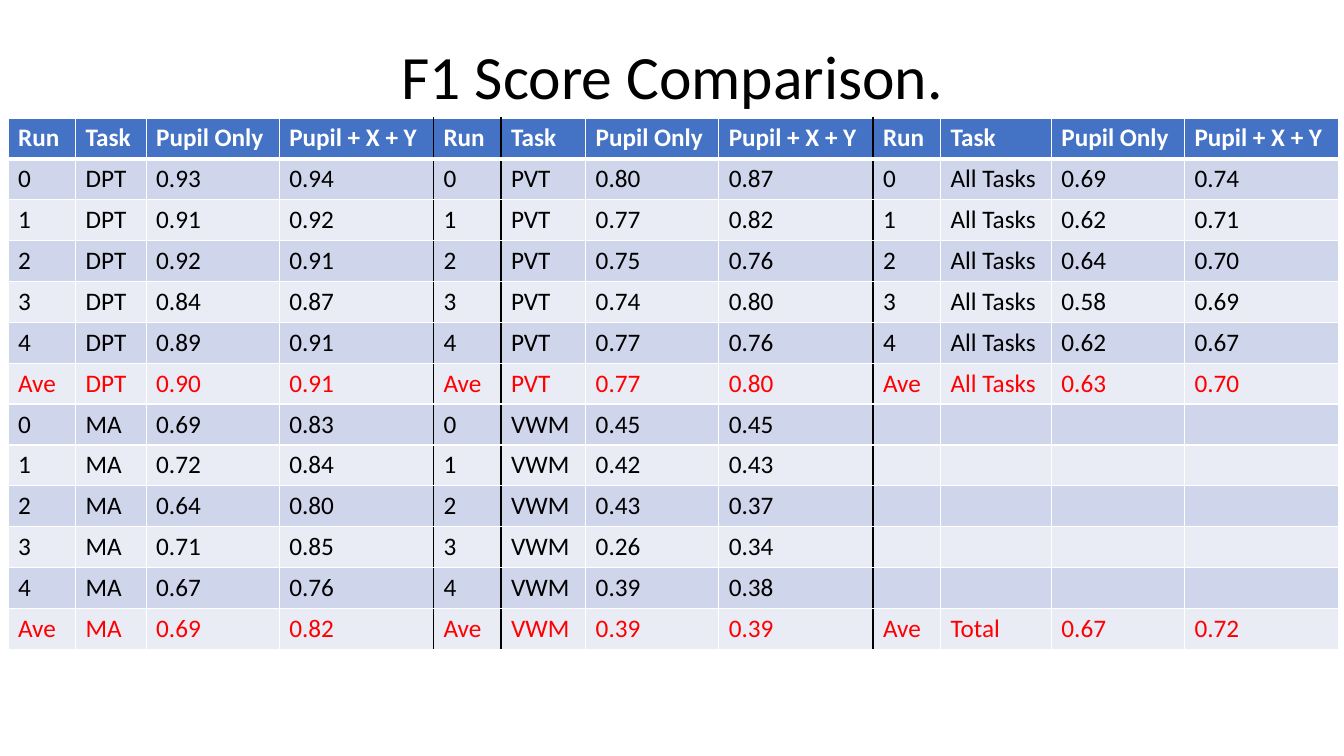
import pptx
import pptx.util
import pptx.dml.color
import pptx.enum.text
import pptx.oxml.ns
import lxml.etree

# Content
TITLE = "F1 Score Comparison."
HEADER = ["Run", "Task", "Pupil Only", "Pupil + X + Y"]
RUNS = ["0", "1", "2", "3", "4", "Ave"]
# Each panel stacks its tasks: (task, pupil-only scores, pupil + x + y scores)
PANELS = [
    [("DPT", "0.93 0.91 0.92 0.84 0.89 0.90", "0.94 0.92 0.91 0.87 0.91 0.91"),
     ("MA", "0.69 0.72 0.64 0.71 0.67 0.69", "0.83 0.84 0.80 0.85 0.76 0.82")],
    [("PVT", "0.80 0.77 0.75 0.74 0.77 0.77", "0.87 0.82 0.76 0.80 0.76 0.80"),
     ("VWM", "0.45 0.42 0.43 0.26 0.39 0.39", "0.45 0.43 0.37 0.34 0.38 0.39")],
    [("All Tasks", "0.69 0.62 0.64 0.58 0.62 0.63", "0.74 0.71 0.70 0.69 0.67 0.70")],
]
TOTAL = ["Ave", "Total", "0.67", "0.72"]

# Style and grid
COLORS = {"header": "4472C4", "odd": "CFD5EA", "even": "E9EBF5",
          "white": "FFFFFF", "black": "000000", "average": "FF0000"}
FONT = "Calibri"
TASK_WIDTHS = [0.7, 0.84, 1.1]
COL_WIDTHS = [w for task in TASK_WIDTHS for w in (0.67, task, 1.32, 1.53)]
ROW_HEIGHT = 5.27 / 13
LEFT, TOP = 0.08, 1.17
DIVIDERS = {4, 5, 8}  # column edges drawn in black
inch = pptx.util.Inches


def rgb(name):
    return pptx.dml.color.RGBColor.from_string(COLORS[name])


def style_run(r, size, color, bold=False):
    r.font.name, r.font.size, r.font.bold = FONT, pptx.util.Pt(size), bold
    r.font.color.rgb = rgb(color)


def add_border(cell, side, color, width):
    qn = pptx.oxml.ns.qn
    ln = lxml.etree.SubElement(cell._tc.get_or_add_tcPr(), qn("a:ln" + side),
                               w=str(pptx.util.Pt(width)))
    fill = lxml.etree.SubElement(ln, qn("a:solidFill"))
    lxml.etree.SubElement(fill, qn("a:srgbClr"), val=COLORS[color])


def panel_rows(panel):
    rows = [HEADER]
    for task, pupil, pupil_xy in panel:
        rows += [[run, task, a, b] for run, a, b in zip(RUNS, pupil.split(), pupil_xy.split())]
    if len(panel) == 1:
        rows += [[""] * 4] * 5 + [TOTAL]
    return rows


rows = [sum(parts, []) for parts in zip(*map(panel_rows, PANELS))]

prs = pptx.Presentation()
prs.slide_width, prs.slide_height = inch(13.33), inch(7.5)
s = prs.slides.add_slide(prs.slide_layouts[5])

# Title
title = s.shapes.title
title.left, title.top, title.width, title.height = map(inch, (0.92, 0.4, 11.5, 0.77))
tf = title.text_frame
tf.text = TITLE
tf.auto_size = pptx.enum.text.MSO_AUTO_SIZE.NONE
tf.vertical_anchor = pptx.enum.text.MSO_ANCHOR.MIDDLE
p = tf.paragraphs[0]
p.alignment = pptx.enum.text.PP_ALIGN.CENTER
p.line_spacing = 0.9
style_run(p.runs[0], 44, "black")

# Score table
table = s.shapes.add_table(len(rows), len(COL_WIDTHS), inch(LEFT), inch(TOP),
                           inch(sum(COL_WIDTHS)), inch(ROW_HEIGHT * len(rows))).table
for column, width in zip(table.columns, COL_WIDTHS):
    column.width = inch(width)

for i, row in enumerate(rows):
    table.rows[i].height = inch(ROW_HEIGHT)
    band = "header" if i == 0 else "odd" if i % 2 else "even"
    ink = "white" if i == 0 else "average" if row[0] == "Ave" else "black"
    for j, value in enumerate(row):
        cell = table.cell(i, j)
        add_border(cell, "L", "black" if j in DIVIDERS else "white", 1)
        add_border(cell, "R", "black" if j + 1 in DIVIDERS else "white", 1)
        add_border(cell, "T", "white", 3 if i == 1 else 1)
        add_border(cell, "B", "white", 3 if i == 0 else 1)
        cell.fill.solid()
        cell.fill.fore_color.rgb = rgb(band)
        p = cell.text_frame.paragraphs[0]
        p.text = value
        p.font.size = pptx.util.Pt(18)
        for r in p.runs:
            style_run(r, 18, ink, bold=i == 0)

prs.save("out.pptx")
